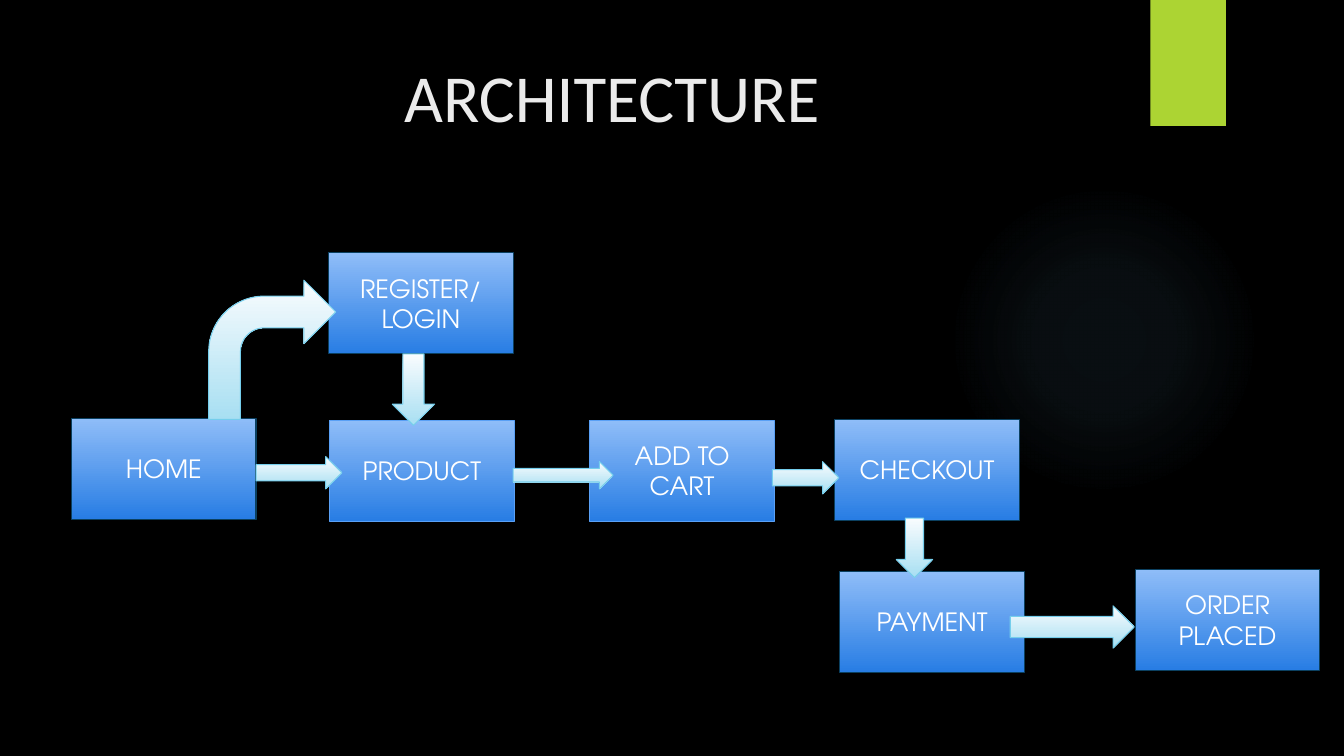
from pptx import Presentation
from pptx.dml.color import RGBColor
from pptx.enum.shapes import MSO_SHAPE
from pptx.enum.text import MSO_ANCHOR, PP_ALIGN
from pptx.oxml import parse_xml
from pptx.util import Inches, Pt

RECT, OVAL = MSO_SHAPE.RECTANGLE, MSO_SHAPE.OVAL
RIGHT, DOWN, BENT = MSO_SHAPE.RIGHT_ARROW, MSO_SHAPE.DOWN_ARROW, MSO_SHAPE.BENT_ARROW
CENTER, MIDDLE, TOP = PP_ALIGN.CENTER, MSO_ANCHOR.MIDDLE, MSO_ANCHOR.TOP
NS = "http://schemas.openxmlformats.org/drawingml/2006/main"

HUES = {"back": "000000", "tab": "ACD433", "glow": "7AC4F0", "title": "EBEBEB",
        "text": "FFFFFF", "light": "8FBDF8", "deep": "287DE4", "dark": "0B4060",
        "edge": "5AA0F5", "pale": "F9FCFE", "ice": "A8DFF2", "rim": "75CEEC"}
HEAD = {"name": "Calibri", "size": Pt(48)}
LABEL = {"name": "TeX Gyre Adventor", "size": Pt(18)}
SIZE = (1.83, 1)
STEPS = [("HOME", 0.71, 4.15, "dark"), ("PRODUCT", 3.27, 4.17, "edge"),
         ("ADD TO CART", 5.85, 4.17, "edge"), ("REGISTER/\nLOGIN", 3.26, 2.51, "dark"),
         ("CHECKOUT", 8.28, 4.16, "dark"), ("PAYMENT", 8.33, 5.67, "dark"),
         ("ORDER PLACED", 11.26, 5.65, "dark")]
ARROWS = [(RIGHT, (2.54, 4.53, 0.85, 0.32)), (RIGHT, (5.09, 4.58, 0.99, 0.27)),
          (RIGHT, (7.66, 4.58, 0.66, 0.32)), (DOWN, (8.89, 5.14, 0.36, 0.59)),
          (DOWN, (3.89, 3.51, 0.42, 0.71)), (RIGHT, (10.02, 6.01, 1.23, 0.42)),
          (BENT, (2.07, 2.78, 1.26, 1.38))]


def tint(name):
    """Return the named colour."""
    return RGBColor.from_string(HUES[name])


def write(shape, text, style, hue, anchor):
    """Write centred text in a shape."""
    frame = shape.text_frame
    frame.word_wrap, frame.vertical_anchor = True, anchor
    frame.text = text
    for para in frame.paragraphs:
        para.alignment = CENTER
        para.font.color.rgb = tint(hue)
        for key, value in style.items():
            setattr(para.font, key, value)


def draw(slide, kind, box):
    """Add a shape without line or shadow."""
    shape = slide.shapes.add_shape(kind, *map(Inches, box))
    shape.shadow.inherit = False
    shape.line.fill.background()
    return shape


def shade(shape, top, base, rim):
    """Fill a shape from top to base and outline it."""
    shape.fill.gradient()
    shape.fill.gradient_angle = 270
    for stop, hue in zip(shape.fill.gradient_stops, (top, base)):
        stop.color.rgb = tint(hue)
    for stop, place in zip(shape.fill.gradient_stops, (0, 1)):
        stop.position = place
    shape.line.color.rgb = tint(rim)
    shape.line.width = Pt(0.75)


def glow(slide, box):
    """Draw a faint round light."""
    shape = draw(slide, OVAL, box)
    stops = "".join(
        f'<a:gs pos="{place}000"><a:srgbClr val="{HUES["glow"]}">'
        f'<a:alpha val="{alpha}000"/></a:srgbClr></a:gs>'
        for place, alpha in ((0, 7), (36, 6), (69, 0)))
    fill = parse_xml(
        f'<a:gradFill xmlns:a="{NS}"><a:gsLst>{stops}</a:gsLst><a:path path="circle">'
        '<a:fillToRect l="50000" t="50000" r="50000" b="50000"/></a:path></a:gradFill>')
    shape.element.spPr.find(f"{{{NS}}}prstGeom").addnext(fill)


def decor(slide, width):
    """Draw the background, light and corner tab."""
    slide.background.fill.solid()
    slide.background.fill.fore_color.rgb = tint("back")
    glow(slide, (width - 3.92, 1.83, 3.08, 3.08))
    tab = draw(slide, RECT, (width - 1.92, 0, 0.75, 1.25))
    tab.fill.solid()
    tab.fill.fore_color.rgb = tint("tab")


def title(slide, box):
    """Write the title in its box."""
    write(slide.shapes.add_textbox(*map(Inches, box)), "ARCHITECTURE", HEAD, "title", TOP)


def flow(slide, left, top):
    """Draw the steps and arrows from a given corner."""
    for text, x, y, rim in STEPS:
        step = draw(slide, RECT, (left + x, top + y, *SIZE))
        shade(step, "light", "deep", rim)
        write(step, text, LABEL, "text", MIDDLE)
    for kind, (x, y, wide, high) in ARROWS:
        shade(draw(slide, kind, (left + x, top + y, wide, high)), "pale", "ice", "rim")


def main():
    """Build and save the slide."""
    deck = Presentation()
    deck.slide_width, deck.slide_height = Inches(13.33), Inches(7.5)
    slide = deck.slides.add_slide(deck.slide_layouts[6])
    decor(slide, 13.33)
    title(slide, (0.93, 0.5, 10.28, 1.53))
    flow(slide, 0, 0)
    deck.save("out.pptx")


main()
